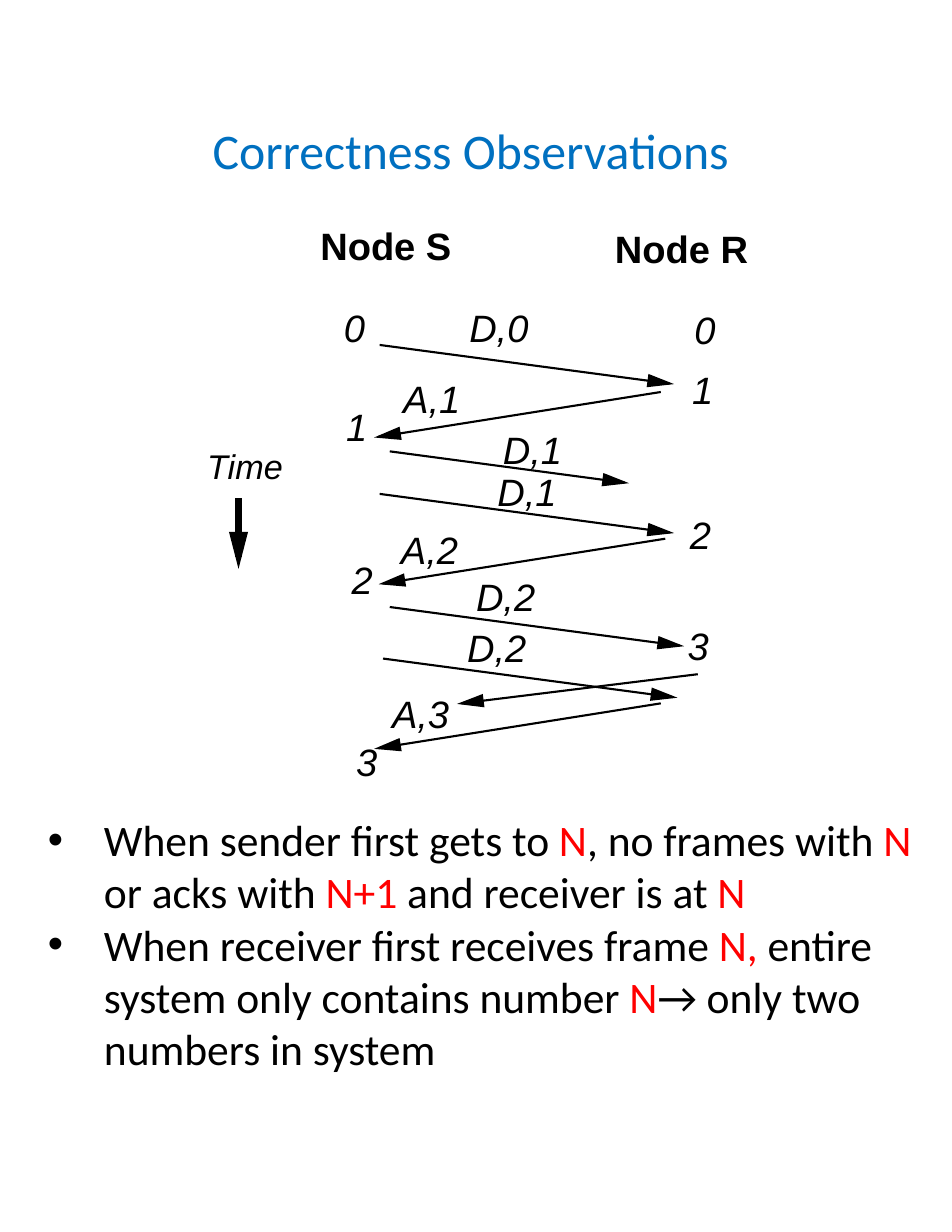
from dataclasses import dataclass
from math import hypot

from lxml import etree
from pptx import Presentation
from pptx.dml.color import RGBColor
from pptx.enum.shapes import MSO_CONNECTOR
from pptx.oxml.ns import qn
from pptx.util import Inches, Pt

STRAIGHT = MSO_CONNECTOR.STRAIGHT
WIDTH, HEIGHT = Inches(8.5), Inches(11)
COLS, ROWS = 85, 110
CELL = WIDTH / COLS
BLACK, RED, BLUE = "000000", "FF0000", "0070C0"


@dataclass
class Line:
    text: str
    indent: float = 0
    before: float = 0
    spacing: float = 0


@dataclass
class Label:
    col: float
    row: float
    cols: float
    rows: float
    lines: tuple[Line, ...]
    size: float = 24.5
    bold: bool = False
    italic: bool = True


@dataclass
class Arrow:
    col: float
    row: float
    dx: float
    dy: float
    weight: float = 1.37
    length: float = 2.4
    breadth: float = 1.2
    overshoot: float = 0.4


def data(col: float, row: float, share: float = 1) -> Arrow:
    """Return a data frame going from S towards R."""
    return Arrow(col, row, 25.9 * share, 3.45 * share)


def ack(col: float, row: float) -> Arrow:
    """Return an acknowledgement going from R to S."""
    return Arrow(col, row, -25.2, 4)


def number(col: float, row: float, text: str) -> Label:
    """Return a one-digit state label."""
    return Label(col, row, 2.2, 4.3, (Line(text),))


ARROWS = [
    data(33.9, 30.8), ack(59, 35), data(34.8, 40.3, 0.81), data(33.9, 44.1),
    ack(59.4, 48.1), data(34.8, 54.2), Arrow(62.3, 60.2, -21.1, 2.6),
    data(34.2, 58.8), ack(59, 62.8),
    Arrow(21.3, 44.5, 0, 5.2, 4.12, 3.3, 1.7, 1.1),
]

LABELS = [
    Label(28.6, 19.9, 12.1, 4.3, (Line("Node S"),), bold=True, italic=False),
    Label(54.9, 20.1, 12.3, 4.3, (Line("Node R"),), bold=True, italic=False),
    Label(18.5, 39.8, 7.1, 3.8, (Line("Time"),), size=22),
    Label(36, 33.5, 5.4, 4.3, (Line("A,1"),)),
    Label(41.9, 27.2, 5.6, 4.3, (Line("D,0"),)),
    Label(61.7, 27.4, 2.4, 9.6, (Line("0", 0.3), Line("1", 0.1, 9))),
    Label(34.9, 38.4, 15.5, 27.5, (
        Line("D,1", 10, spacing=27.1), Line("D,1", 9.5, spacing=27.1),
        Line("A,2", 0.9, 7.7), Line("D,2", 7.6, 0.8),
        Line("D,2", 6.8, 3.5), Line("A,3", 0.1, 13.2))),
    number(30.7, 27.2, "0"), number(30.9, 36, "1"),
    number(31.4, 49.7, "2"), number(31.8, 65.9, "3"),
    number(61.6, 45.7, "2"), number(61.4, 55.6, "3"),
]

BULLETS = [
    "When sender first gets to |N|, no frames with |N| or acks with |N+1"
    "| and receiver is at |N",
    "When receiver first receives frame |N,| entire system only contains "
    "number |N|→ only two numbers in system",
]


def emu(cells: float) -> int:
    """Convert grid cells to a length."""
    return round(cells * CELL)


def rgb(value: str) -> RGBColor:
    """Return the colour of a hex string."""
    return RGBColor.from_string(value)


def style(font, name: str, size: float, color: str) -> None:
    """Set the typeface, size and colour of a font."""
    font.name, font.size = name, Pt(size)
    font.color.rgb = rgb(color)


def add_box(s, col: float, row: float, cols: float, rows: float):
    """Add a wrapping text box and return its text frame."""
    tf = s.shapes.add_textbox(emu(col), emu(row), emu(cols), emu(rows)).text_frame
    tf.word_wrap = True
    return tf


def draw_label(s, label: Label) -> None:
    """Draw a label of one or more indented lines."""
    tf = add_box(s, label.col, label.row, label.cols, label.rows)
    tf.margin_left = tf.margin_right = tf.margin_top = tf.margin_bottom = 0
    tf.text = "\n".join(line.text for line in label.lines)
    for p, line in zip(tf.paragraphs, label.lines):
        p._p.get_or_add_pPr().set("marL", str(emu(line.indent)))
        if line.before:
            p.space_before = Pt(line.before)
        if line.spacing:
            p.line_spacing = Pt(line.spacing)
        font = p.runs[0].font
        style(font, "Arial", label.size, BLACK)
        font.bold, font.italic = label.bold, label.italic


def draw_arrow(s, a: Arrow) -> None:
    """Draw a line with a long solid head along its direction."""
    x, y = a.col + a.dx, a.row + a.dy
    sp = s.shapes.add_connector(STRAIGHT, emu(a.col), emu(a.row), emu(x), emu(y))
    sp.line.color.rgb = rgb(BLACK)
    sp.line.width = Pt(a.weight)
    etree.SubElement(sp._element.spPr, qn("a:effectLst"))
    ux, uy = a.dx / hypot(a.dx, a.dy), a.dy / hypot(a.dx, a.dy)
    tip_x, tip_y = x + ux * a.overshoot, y + uy * a.overshoot
    base_x, base_y = tip_x - ux * a.length, tip_y - uy * a.length
    half = a.breadth / 2
    corners = [(emu(base_x + side * uy), emu(base_y - side * ux))
               for side in (half, -half)]
    fb = s.shapes.build_freeform(emu(tip_x), emu(tip_y))
    fb.add_line_segments(corners, close=True)
    head = fb.convert_to_shape()
    head.shadow.inherit = False
    head.fill.solid()
    head.fill.fore_color.rgb = rgb(BLACK)
    head.line.fill.background()


def draw_title(s) -> None:
    """Draw the slide title."""
    tf = add_box(s, 18, 10.2, 50.4, 6.4)
    tf.text = "Correctness Observations"
    style(tf.paragraphs[0].runs[0].font, "Calibri", 32, BLUE)


def draw_bullets(s) -> None:
    """Draw the observations, with every second piece in red."""
    tf = add_box(s, 3.3, 72.1, 80, 24.6)
    for i, text in enumerate(BULLETS):
        p = tf.add_paragraph() if i else tf.paragraphs[0]
        pPr = p._p.get_or_add_pPr()
        pPr.set("marL", str(emu(5)))
        pPr.set("indent", str(emu(-5)))
        etree.SubElement(pPr, qn("a:buFont")).set("typeface", "Arial")
        etree.SubElement(pPr, qn("a:buChar")).set("char", "•")
        for j, piece in enumerate(text.split("|")):
            r = p.add_run()
            r.text = piece
            style(r.font, "Calibri", 28, RED if j % 2 else BLACK)


def main() -> None:
    """Build the slide and save it."""
    prs = Presentation()
    prs.slide_width, prs.slide_height = WIDTH, emu(ROWS)
    s = prs.slides.add_slide(prs.slide_layouts[6])
    for arrow in ARROWS:
        draw_arrow(s, arrow)
    for label in LABELS:
        draw_label(s, label)
    draw_title(s)
    draw_bullets(s)
    prs.save("out.pptx")


if __name__ == "__main__":
    main()
